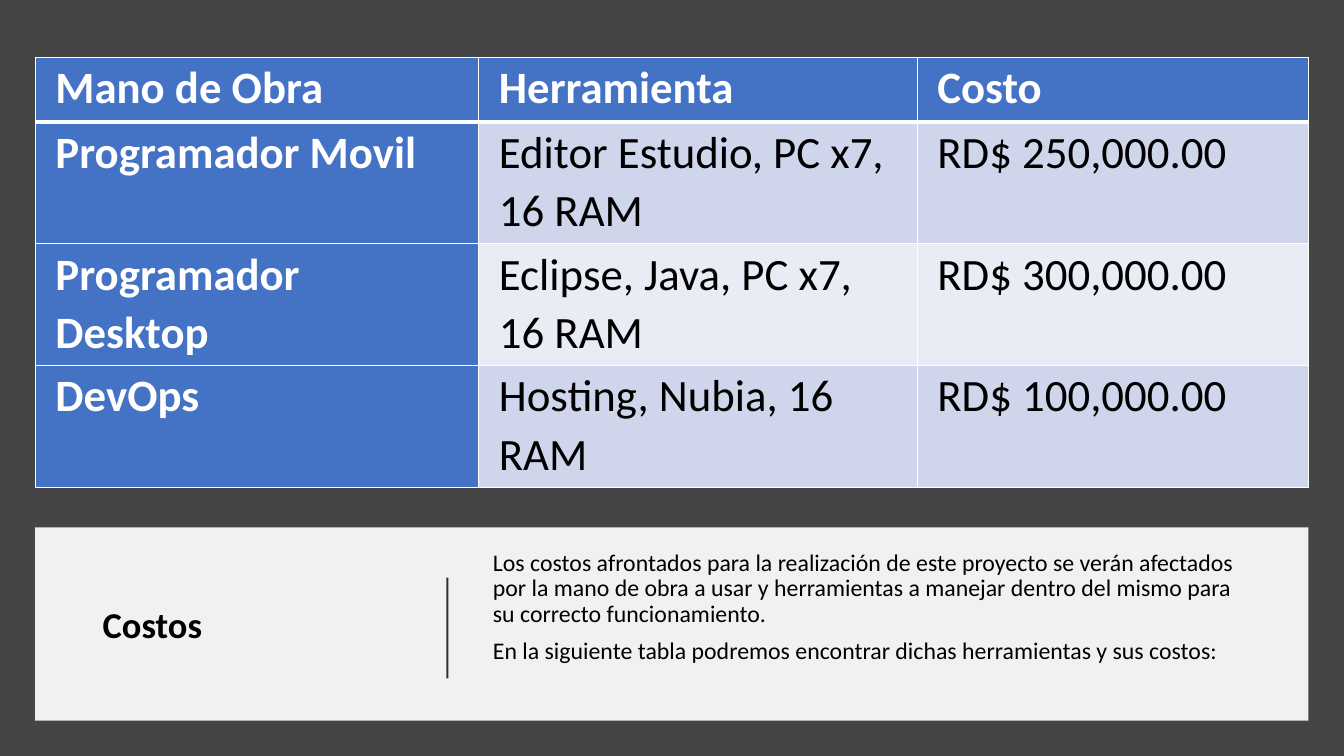
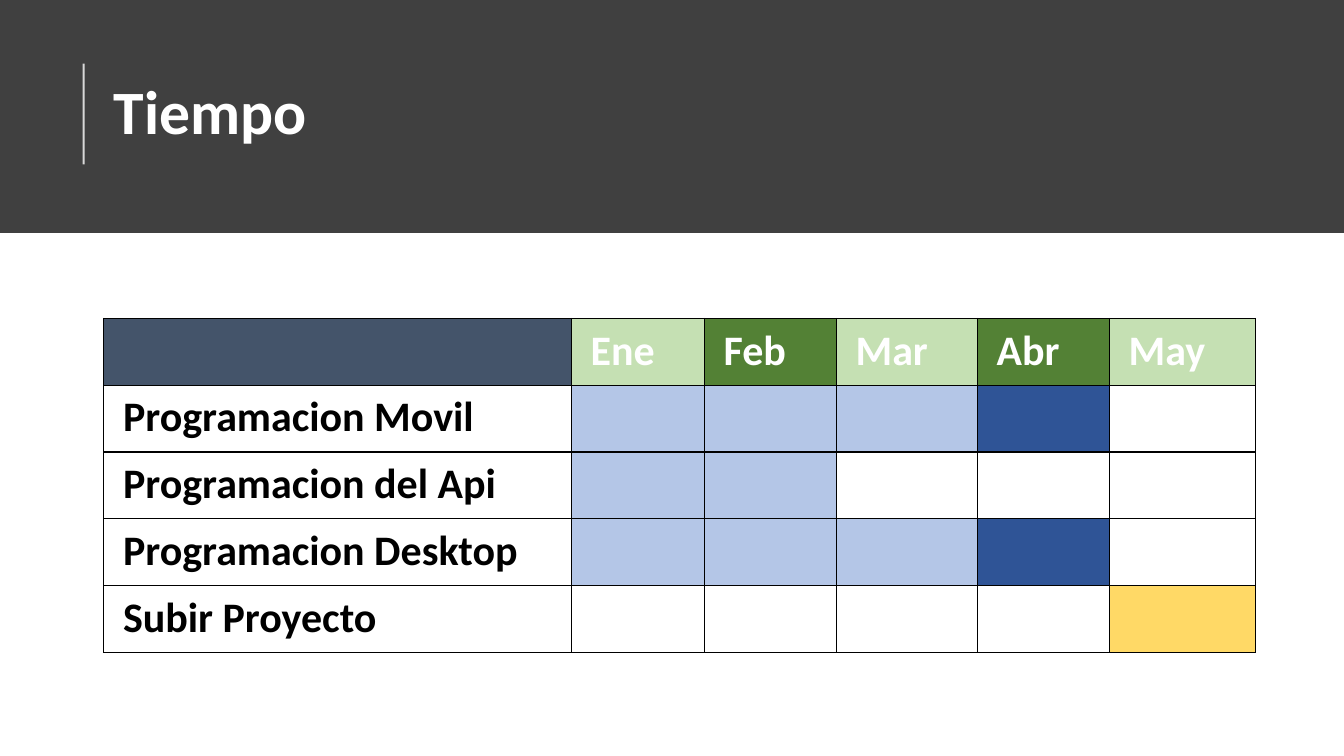
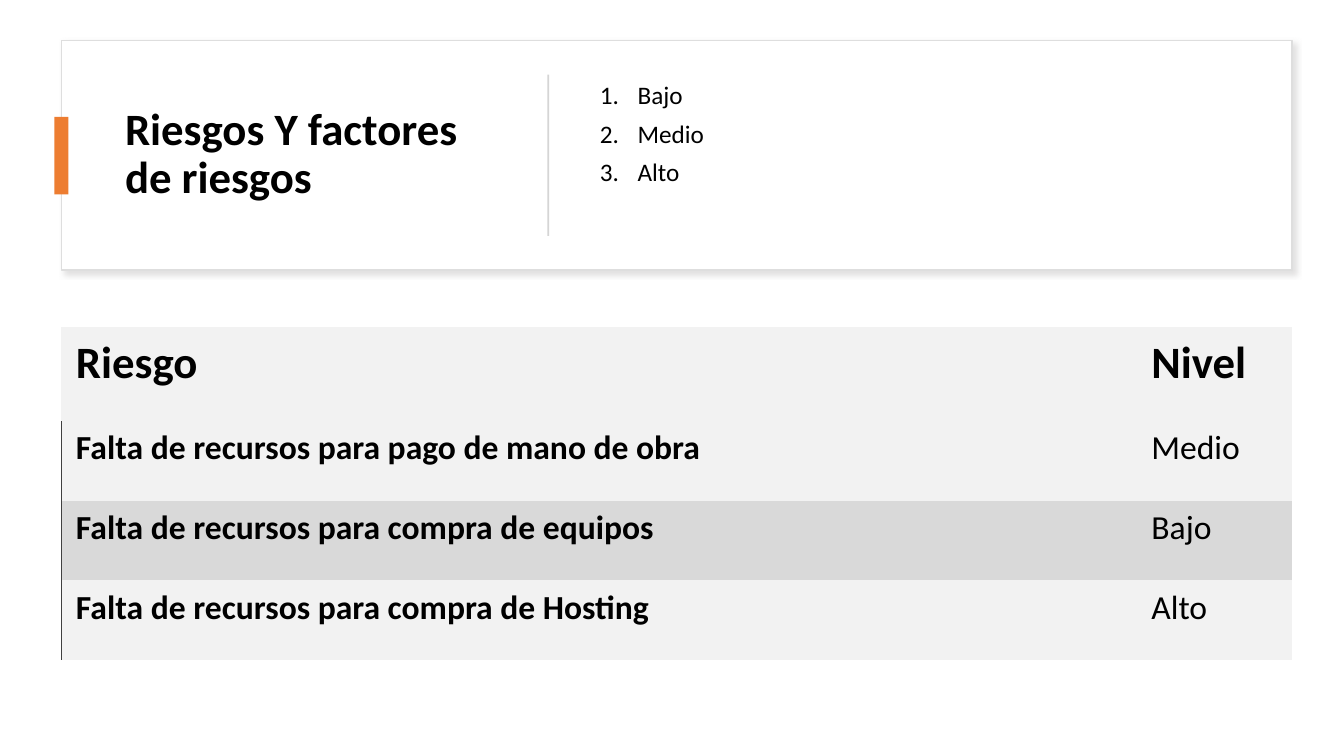
from dataclasses import dataclass, field
from typing import NamedTuple

from lxml.etree import SubElement
from pptx import Presentation
from pptx.dml.color import RGBColor
from pptx.enum.shapes import MSO_CONNECTOR, MSO_SHAPE
from pptx.enum.text import MSO_ANCHOR, MSO_AUTO_SIZE, PP_ALIGN
from pptx.oxml.ns import qn
from pptx.util import Pt

TITLE_AND_CONTENT, TITLE_ONLY = 1, 5
NO_TABLE_STYLE = "{2D5ABB26-0587-4C30-8999-92F81FD0307C}"


class Theme:
    font = "Calibri"
    black = "000000"
    white = "FFFFFF"
    backdrop = "454545"
    band = "404040"
    blue = "4472C4"
    blue_bands = ("CFD5EA", "E9EBF5")
    corner = "44546A"
    months = ("C5E0B3", "538135")
    work = "B4C6E7"
    closing_work = "2F5496"
    launch = "FFD966"
    accent = "ED7D31"
    panel_line = "DEDEDE"
    panel_shadow = "C5C3C3"
    divider = "D5D5D5"
    gray_bands = ("F2F2F2", "D9D9D9")
    cost_title, time_title, risk_title = 26, 44, 32
    cost_body, risk_body = 17, 18
    table_large, table_medium, table_small = 32, 30, 24


class Box(NamedTuple):
    left: float
    top: float
    width: float
    height: float

    def inner(self, left, top, width, height):
        return Box(self.left + left, self.top + top, width, height)

    def points(self):
        return [Pt(length) for length in self]


@dataclass
class Cell:
    text: str
    fill: str
    size: int = Theme.table_large
    color: str = Theme.black
    bold: bool = False
    anchor: MSO_ANCHOR = MSO_ANCHOR.TOP
    borders: dict = field(default_factory=dict)


def rgb(color):
    return RGBColor.from_string(color)


def add_run(paragraph, text, size, color, bold=False):
    run = paragraph.add_run()
    run.text = text
    run.font.name = Theme.font
    run.font.size = Pt(size)
    run.font.bold = bold
    run.font.color.rgb = rgb(color)


def set_alpha(properties, percent):
    color = next(properties.iter(qn("a:srgbClr")))
    SubElement(color, qn("a:alpha"), val=str(percent * 1000))


def add_slide(presentation, layout, background):
    slide = presentation.slides.add_slide(presentation.slide_layouts[layout])
    slide.background.fill.solid()
    slide.background.fill.fore_color.rgb = rgb(background)
    return slide


def place_rectangle(slide, box, fill, line=None):
    shape = slide.shapes.add_shape(MSO_SHAPE.RECTANGLE, *box.points())
    shape.shadow.inherit = False
    shape.fill.solid()
    shape.fill.fore_color.rgb = rgb(fill)
    if line:
        shape.line.color.rgb = rgb(line)
        shape.line.width = Pt(1)
    else:
        shape.line.fill.background()
    return shape


def place_panel(slide, box, fill, line=None):
    """Rectangle lying behind the placeholders."""
    panel = place_rectangle(slide, box, fill, line)
    slide.shapes._spTree.insert(2, panel._element)
    return panel


def place_rule(slide, box, color):
    """Translucent vertical line along the left side of the box."""
    x, top, bottom = Pt(box.left), Pt(box.top), Pt(box.top + box.height)
    rule = slide.shapes.add_connector(MSO_CONNECTOR.STRAIGHT, x, bottom, x, top)
    rule.line.color.rgb = rgb(color)
    rule.line.width = Pt(1.5)
    properties = rule._element.spPr
    set_alpha(properties, 80)
    SubElement(properties, qn("a:effectLst"))


def prepare_placeholder(placeholder, box, anchor):
    placeholder.left, placeholder.top, placeholder.width, placeholder.height = box.points()
    frame = placeholder.text_frame
    frame.word_wrap = True
    frame.auto_size = MSO_AUTO_SIZE.NONE
    frame.vertical_anchor = anchor
    return frame


def place_title(slide, box, text, size, color):
    frame = prepare_placeholder(slide.shapes.title, box, MSO_ANCHOR.MIDDLE)
    paragraph = frame.paragraphs[0]
    paragraph.alignment = PP_ALIGN.LEFT
    paragraph.line_spacing = 0.9
    add_run(paragraph, text, size, color, bold=True)


def place_body(slide, box, texts, size, numbered=False):
    frame = prepare_placeholder(slide.placeholders[1], box, MSO_ANCHOR.TOP)
    indent = Pt(27) if numbered else 0
    for index, text in enumerate(texts):
        paragraph = frame.add_paragraph() if index else frame.paragraphs[0]
        properties = paragraph._p.get_or_add_pPr()
        properties.set("marL", str(indent))
        properties.set("indent", str(-indent))
        if numbered:
            SubElement(properties, qn("a:buAutoNum"), type="arabicPeriod")
        else:
            SubElement(properties, qn("a:buNone"))
        paragraph.line_spacing = 0.9
        paragraph.space_before = Pt(0)
        paragraph.space_after = Pt(8)
        add_run(paragraph, text, size, Theme.black)


def set_borders(cell, borders):
    """Draw the sides given as {side: (color, width)}, sides being L, R, T and B."""
    properties = cell._tc.get_or_add_tcPr()
    for side in "LRTB":
        if side in borders:
            color, width = borders[side]
            line = SubElement(properties, qn(f"a:ln{side}"), w=str(Pt(width)))
            SubElement(SubElement(line, qn("a:solidFill")), qn("a:srgbClr"), val=color)


def place_table(slide, left, top, widths, heights, rows, insets):
    """Insets are left, top, right and bottom."""
    box = Box(left, top, sum(widths), sum(heights))
    table = slide.shapes.add_table(len(rows), len(widths), *box.points()).table
    table.first_row = table.horz_banding = False
    table._tbl.tblPr.find(qn("a:tableStyleId")).text = NO_TABLE_STYLE
    for column, width in zip(table.columns, widths):
        column.width = Pt(width)
    for row, height, contents in zip(table.rows, heights, rows):
        row.height = Pt(height)
        for cell, content in zip(row.cells, contents):
            (cell.margin_left, cell.margin_top,
             cell.margin_right, cell.margin_bottom) = [Pt(inset) for inset in insets]
            cell.vertical_anchor = content.anchor
            set_borders(cell, content.borders)
            cell.fill.solid()
            cell.fill.fore_color.rgb = rgb(content.fill)
            if content.text:
                paragraph = cell.text_frame.paragraphs[0]
                paragraph.line_spacing = 1.07
                add_run(paragraph, content.text, content.size, content.color, content.bold)


def place_cost_table(slide, left, top):
    thin, thick = (Theme.white, 1), (Theme.white, 3)
    grid = dict.fromkeys("LRTB", thin)

    def label(text, borders):
        return Cell(text, Theme.blue, color=Theme.white, bold=True, borders=borders)

    rows = [[label(text, {**grid, "B": thick})
             for text in ("Mano de Obra", "Herramienta", "Costo")]]
    costs = [
        ("Programador Movil", "Editor Estudio, PC x7, 16 RAM", "RD$ 250,000.00"),
        ("Programador Desktop", "Eclipse, Java, PC x7, 16 RAM", "RD$ 300,000.00"),
        ("DevOps", "Hosting, Nubia, 16 RAM", "RD$ 100,000.00"),
    ]
    for index, (role, *details) in enumerate(costs):
        borders = grid if index else {**grid, "T": thick}
        fill = Theme.blue_bands[index % 2]
        rows.append([label(role, borders)]
                    + [Cell(text, fill, borders=borders) for text in details])
    place_table(slide, left, top, [316.8, 313.2, 279.4], [46.1] + [87] * 3,
                rows, (14.4, 0, 14.4, 0))


def place_cost_summary(slide, box):
    panel = place_panel(slide, box, Theme.white)
    set_alpha(panel._element.spPr, 93)
    place_title(slide, box.inner(41, 18, 227.5, 105.8), "Costos",
                Theme.cost_title, Theme.black)
    place_rule(slide, box.inner(294.4, 36, 0, 72), Theme.black)
    place_body(slide, box.inner(319.7, 13, 549.4, 112), [
        "Los costos afrontados para la realización de este proyecto se verán afectados "
        "por la mano de obra a usar y herramientas a manejar dentro del mismo para "
        "su correcto funcionamiento.",
        "En la siguiente tabla podremos encontrar dichas herramientas y sus costos:",
    ], Theme.cost_body)


def place_time_header(slide, box):
    place_panel(slide, box, Theme.band)
    place_title(slide, box.inner(74.2, 29.5, 822.2, 104.4), "Tiempo",
                Theme.time_title, Theme.white)
    place_rule(slide, box.inner(59.8, 45.4, 0, 72), Theme.white)


def place_schedule(slide, left, top):
    grid = dict.fromkeys("LRTB", (Theme.black, 1))
    months = ("Ene", "Feb", "Mar", "Abr", "May")
    full_work = [Theme.work] * 3 + [Theme.closing_work]
    tasks = {
        "Programacion Movil": full_work,
        "Programacion del Api": [Theme.work] * 2,
        "Programacion Desktop": full_work,
        "Subir Proyecto": [Theme.white] * 4 + [Theme.launch],
    }

    def schedule_cell(text, fill, color=Theme.black):
        return Cell(text, fill, Theme.table_medium, color, True, borders=grid)

    rows = [[schedule_cell("", Theme.corner)]
            + [schedule_cell(month, Theme.months[index % 2], Theme.white)
               for index, month in enumerate(months)]]
    for task, fills in tasks.items():
        padding = [Theme.white] * (len(months) - len(fills))
        rows.append([schedule_cell(task, Theme.white)]
                    + [schedule_cell("", fill) for fill in fills + padding])
    place_table(slide, left, top, [334, 95, 94.3, 100.8, 94.3, 104.4], [47.7] * 5,
                rows, (13.7, 2.2, 13.7, 0))


def place_risk_panel(slide, box):
    panel = place_panel(slide, box, Theme.white, Theme.panel_line)
    effects = panel._element.spPr.find(qn("a:effectLst"))
    shadow = SubElement(effects, qn("a:outerShdw"), blurRad=str(Pt(4)), dist=str(Pt(3)),
                        dir=str(45 * 60000), algn="tl", rotWithShape="0")
    SubElement(shadow, qn("a:srgbClr"), val=Theme.panel_shadow)
    set_alpha(shadow, 50)
    place_title(slide, box.inner(38.2, 17.3, 280, 129.6),
                "Riesgos Y factores de riesgos", Theme.risk_title, Theme.black)
    place_rectangle(slide, box.inner(-5, 54.7, 10, 55.4), Theme.accent)
    place_rectangle(slide, box.inner(347, 24.5, 1.4, 115.2), Theme.divider)
    place_body(slide, box.inner(377.3, 27, 472.3, 110), ["Bajo", "Medio", "Alto"],
               Theme.risk_body, numbered=True)


def place_risk_table(slide, left, top):
    edge = {"L": (Theme.band, 1)}
    rows = [[Cell(text, Theme.gray_bands[0], bold=True, anchor=MSO_ANCHOR.BOTTOM)
             for text in ("Riesgo", "Nivel")]]
    risks = {
        "Falta de recursos para pago de mano de obra": "Medio",
        "Falta de recursos para compra de equipos": "Bajo",
        "Falta de recursos para compra de Hosting": "Alto",
    }
    for index, (risk, level) in enumerate(risks.items()):
        fill = Theme.gray_bands[index % 2]
        rows.append([Cell(risk, fill, Theme.table_small, bold=True, borders=edge),
                     Cell(level, fill, Theme.table_small)])
    place_table(slide, left, top, [768.2, 110.9], [67.5] + [56.9] * 3,
                rows, (10.4, 2.9, 10.8, 21.6))


def build_cost_slide(presentation):
    slide = add_slide(presentation, TITLE_AND_CONTENT, Theme.backdrop)
    place_cost_summary(slide, Box(25.2, 376.6, 909.4, 138.2))
    place_cost_table(slide, 25.2, 41)


def build_time_slide(presentation):
    slide = add_slide(presentation, TITLE_ONLY, Theme.white)
    place_time_header(slide, Box(0, 0, 960, 166.3))
    place_schedule(slide, 74.2, 227.5)


def build_risk_slide(presentation):
    slide = add_slide(presentation, TITLE_AND_CONTENT, Theme.white)
    place_risk_panel(slide, Box(43.9, 28.8, 879.1, 164.2))
    place_risk_table(slide, 43.9, 233.3)


def main():
    presentation = Presentation()
    presentation.slide_width, presentation.slide_height = Pt(960), Pt(540)
    build_cost_slide(presentation)
    build_time_slide(presentation)
    build_risk_slide(presentation)
    presentation.save("out.pptx")


if __name__ == "__main__":
    main()
